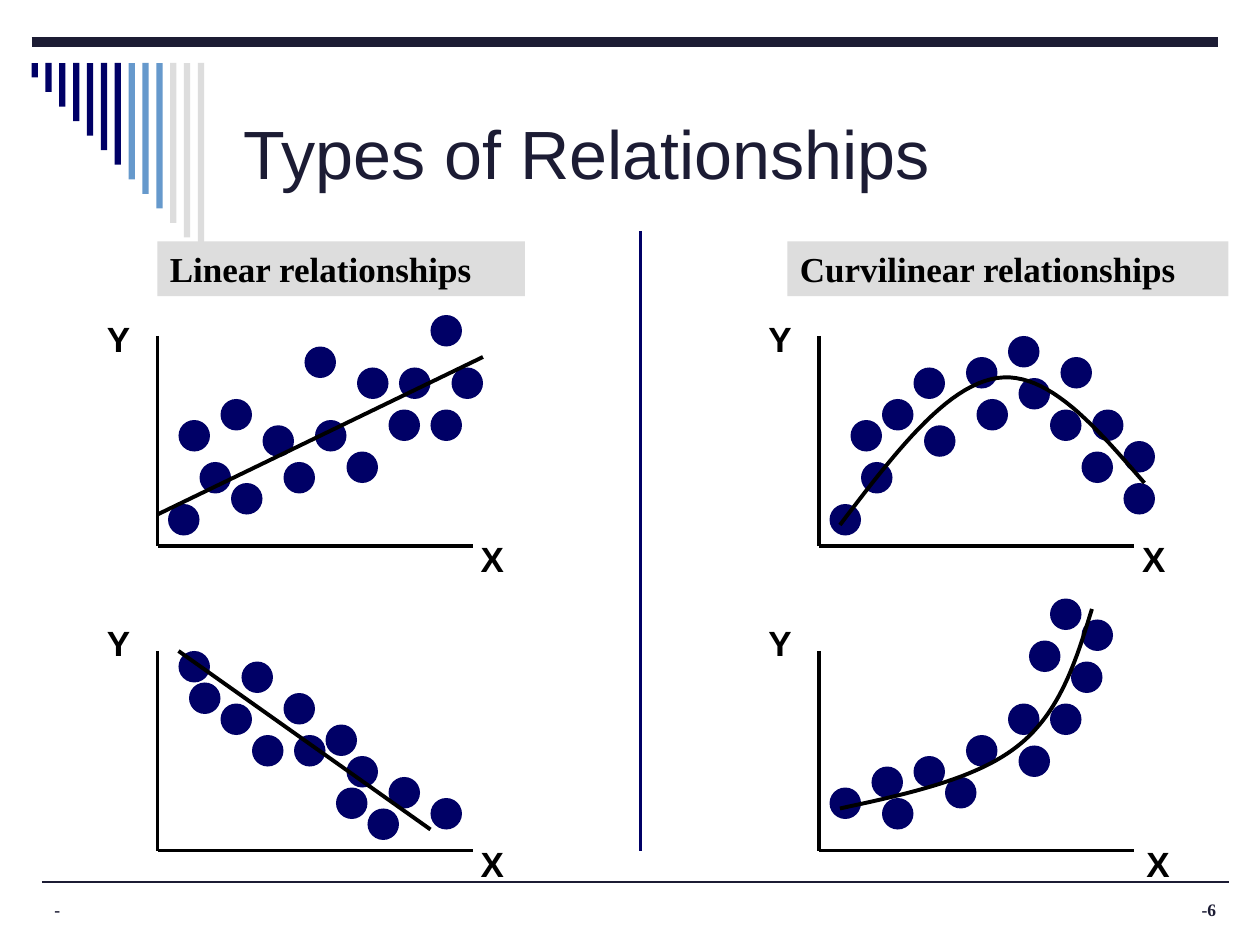
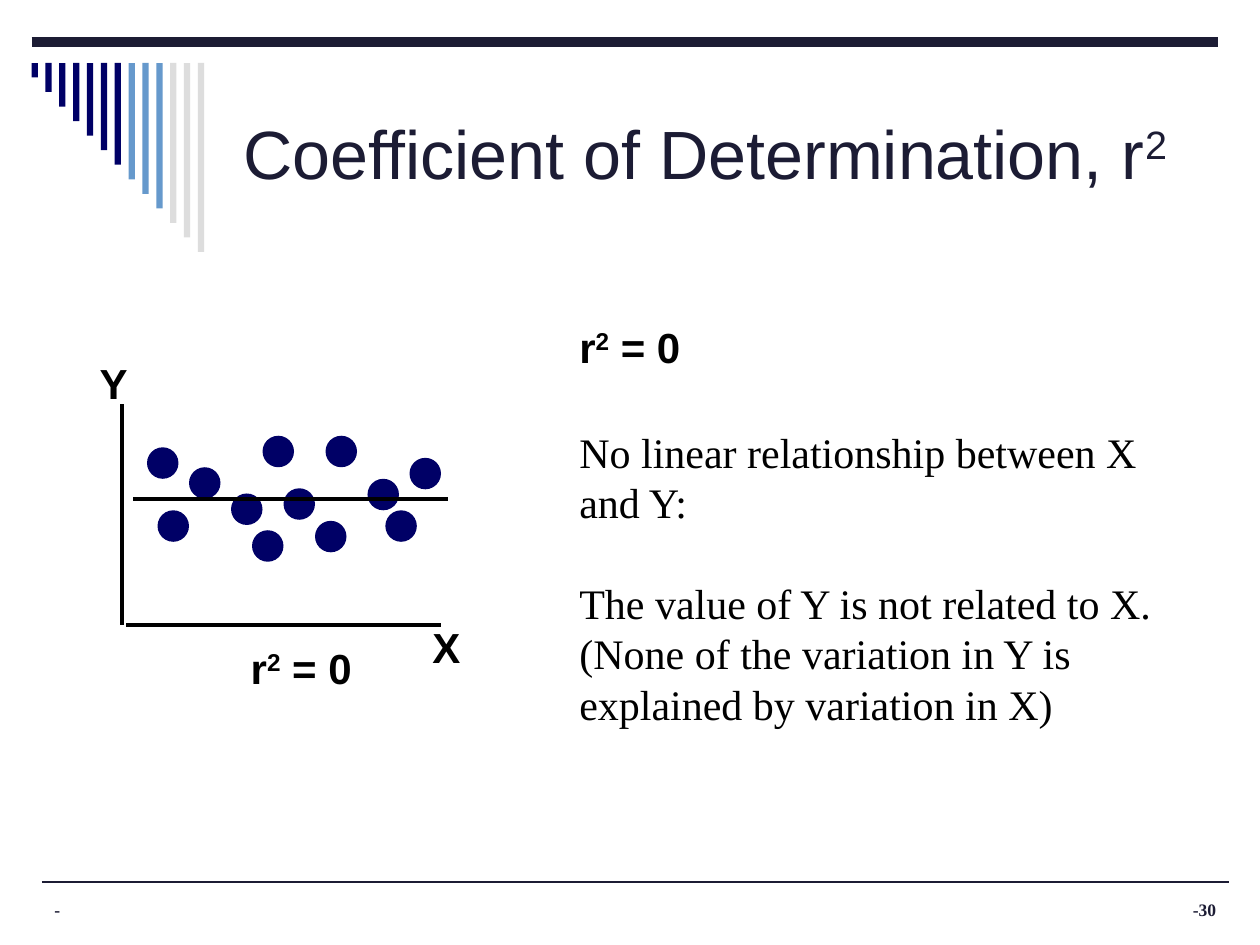
import dataclasses
from typing import Any

import lxml.etree
import pptx
import pptx.dml.color
import pptx.enum.shapes
import pptx.enum.text
import pptx.oxml.ns
import pptx.util

PX = 7620
INK, NAVY, BLUE, GREY, BLACK = "1C1C34", "000066", "6699CC", "DDDDDD", "000000"
SANS, SERIF = "Arial", "Times New Roman"
STRIPES = [NAVY] * 7 + [BLUE] * 3 + [GREY] * 3
DOT = 30
CURVE_STEPS = 24

Point = tuple[int, int]
SHAPE = pptx.enum.shapes.MSO_SHAPE
ALIGN = pptx.enum.text.PP_ALIGN
ANCHOR = pptx.enum.text.MSO_ANCHOR


@dataclasses.dataclass
class Plot:
    y_axis: tuple[Point, Point]
    x_axis: tuple[Point, Point]
    y_label: Point
    x_label: Point
    dots: list[Point]
    trend: list[Point]
    label_size: int = 20
    trend_width: float = 2.25


@dataclasses.dataclass
class Heading:
    text: str
    left: int
    width: int


RISING = Plot(
    ((150, 320), (150, 520)), ((150, 520), (450, 520)), (90, 296), (446, 506),
    [(160, 480), (190, 440), (410, 300), (430, 350), (220, 460), (380, 350),
     (330, 430), (340, 350), (290, 330), (170, 400), (210, 380), (250, 405),
     (370, 390), (300, 400), (270, 440), (410, 390)],
    [(150, 490), (460, 340)])

FALLING = Plot(
    ((150, 620), (150, 810)), ((150, 810), (450, 810)), (90, 586), (446, 796),
    [(350, 770), (180, 650), (410, 760), (230, 630), (330, 720), (370, 740),
     (270, 660), (170, 620), (210, 670), (240, 700), (320, 750), (310, 690),
     (280, 700)],
    [(170, 620), (410, 790)])

ARCHED = Plot(
    ((780, 320), (780, 520)), ((780, 520), (1080, 520)), (720, 296), (1076, 506),
    [(790, 480), (820, 440), (1070, 420), (1010, 340), (870, 350), (1070, 460),
     (1030, 430), (970, 360), (920, 340), (810, 400), (840, 380), (880, 405),
     (1000, 390), (930, 380), (960, 320), (1040, 390)],
    [(800, 500), (851, 433), (901, 367), (950, 360),
     (998, 353), (1044, 407), (1090, 460)])

STEEPENING = Plot(
    ((780, 620), (780, 810)), ((780, 810), (1080, 810)), (720, 586), (1080, 796),
    [(790, 750), (830, 730), (1030, 590), (1020, 630), (840, 760), (980, 610),
     (970, 710), (960, 670), (1000, 570), (870, 720), (1000, 670), (920, 700),
     (900, 740)],
    [(800, 770), (865, 756), (930, 742), (970, 710),
     (1010, 678), (1025, 629), (1040, 580)])

FLAT = Plot(
    ((116, 385), (116, 595)), ((120, 595), (420, 595)), (83, 335), (400, 586),
    [(150, 486), (390, 436), (350, 456), (300, 496), (310, 415), (250, 415),
     (140, 426), (180, 445), (220, 470), (270, 465), (240, 505), (367, 486)],
    [(127, 475), (427, 475)], label_size=24, trend_width=2)

HEADINGS = [Heading("Linear relationships", 150, 350),
            Heading("Curvilinear relationships", 750, 420)]


def px(value: float) -> int:
    return round(value * PX)


def rgb(value: str) -> pptx.dml.color.RGBColor:
    return pptx.dml.color.RGBColor.from_string(value)


def write(sp: Any, text: str, *, size: float, font: str = SANS, color: str = BLACK,
          bold: bool = False, align: Any = ALIGN.LEFT, anchor: Any = ANCHOR.TOP,
          wrap: bool = True, leading: float | None = None, gap: float = 0) -> None:
    tf = sp.text_frame
    tf.word_wrap = wrap
    tf.vertical_anchor = anchor
    for i, line in enumerate(text.split("\n")):
        p = tf.add_paragraph() if i else tf.paragraphs[0]
        p.alignment = align
        if leading:
            p.line_spacing = pptx.util.Pt(leading)
        if i:
            p.space_before = pptx.util.Pt(gap)
        for j, part in enumerate(line.split("^")):
            r = p.add_run()
            r.text = part
            r.font.size = pptx.util.Pt(size)
            r.font.name = font
            r.font.bold = bold
            r.font.color.rgb = rgb(color)
            if j % 2:
                r._r.get_or_add_rPr().set("baseline", "30000")


def add_text(slide: Any, box: tuple[int, int, int, int], text: str, **style: Any) -> None:
    write(slide.shapes.add_textbox(*map(px, box)), text, **style)


def add_block(slide: Any, kind: Any, box: tuple[float, ...], color: str) -> Any:
    sp = slide.shapes.add_shape(kind, *map(px, box))
    sp.shadow.inherit = False
    sp.fill.solid()
    sp.fill.fore_color.rgb = rgb(color)
    sp.line.fill.background()
    return sp


def add_line(slide: Any, start: Point, end: Point, color: str, width: float) -> None:
    sp = slide.shapes.add_connector(
        pptx.enum.shapes.MSO_CONNECTOR.STRAIGHT, *map(px, start + end))
    sp.line.color.rgb = rgb(color)
    sp.line.width = pptx.util.Pt(width)
    lxml.etree.SubElement(sp._element.spPr, pptx.oxml.ns.qn("a:effectLst"))


def bezier(a: Point, b: Point, c: Point, d: Point, t: float) -> tuple[int, int]:
    u = 1 - t
    weights = (u ** 3, 3 * u * u * t, 3 * u * t * t, t ** 3)
    x, y = (px(sum(w * v for w, v in zip(weights, axis))) for axis in zip(a, b, c, d))
    return x, y


def add_curve(slide: Any, knots: list[Point], width: float) -> None:
    points = [bezier(*knots[i:i + 4], step / CURVE_STEPS)
              for i in range(0, len(knots) - 1, 3)
              for step in range(1, CURVE_STEPS + 1)]
    builder = slide.shapes.build_freeform(*map(px, knots[0]))
    builder.add_line_segments(points, close=False)
    sp = builder.convert_to_shape()
    sp.shadow.inherit = False
    sp.fill.background()
    sp.line.color.rgb = rgb(BLACK)
    sp.line.width = pptx.util.Pt(width)


def add_plot(slide: Any, plot: Plot) -> None:
    for axis in (plot.y_axis, plot.x_axis):
        add_line(slide, *axis, BLACK, 2)
    for dot in plot.dots:
        add_block(slide, SHAPE.OVAL, (*dot, DOT, DOT), NAVY)
    for label, at in (("Y", plot.y_label), ("X", plot.x_label)):
        add_text(slide, (*at, 48, 52), label, size=plot.label_size, bold=True, wrap=False)
    if len(plot.trend) == 2:
        add_line(slide, *plot.trend, BLACK, plot.trend_width)
    else:
        add_curve(slide, plot.trend, plot.trend_width)


def add_slide(prs: Any, title: str, number: str) -> Any:
    slide = prs.slides.add_slide(prs.slide_layouts[6])
    add_line(slide, (40, 840), (1170, 840), INK, 1)
    add_line(slide, (30, 40), (1160, 40), INK, 6)
    for i, color in enumerate(STRIPES):
        box = (30 + 13.2 * i, 60, 6, 180 * (i + 1) / len(STRIPES))
        add_block(slide, SHAPE.RECTANGLE, box, color)
    footer = dict(size=10, font=SERIF, color=INK, bold=True)
    add_text(slide, (40, 850, 750, 30), "-", **footer)
    add_text(slide, (890, 850, 280, 30), number, align=ALIGN.RIGHT, **footer)
    add_text(slide, (220, 60, 920, 170), title, size=39, color=INK, anchor=ANCHOR.MIDDLE)
    return slide


def add_relationships(prs: Any) -> None:
    slide = add_slide(prs, "Types of Relationships", "-6")
    for heading in HEADINGS:
        sp = add_block(slide, SHAPE.RECTANGLE, (heading.left, 230, heading.width, 52), GREY)
        write(sp, heading.text, size=20, font=SERIF, bold=True)
    add_line(slide, (610, 220), (610, 810), NAVY, 2.25)
    for plot in (FALLING, RISING, STEEPENING, ARCHED):
        add_plot(slide, plot)


def add_determination(prs: Any) -> None:
    slide = add_slide(prs, "Coefficient of Determination, r^2", "-30")
    add_plot(slide, FLAT)
    for at in ((540, 300), (227, 606)):
        add_text(slide, (*at, 122, 60), "r^2^ = 0", size=24, bold=True, wrap=False)
    add_text(slide, (540, 400, 590, 300),
             "No linear relationship between X and Y:\n"
             "The value of Y is not related to X. (None of the variation in Y is "
             "explained by variation in X)",
             size=24, font=SERIF, leading=28.8, gap=28.8)


def main() -> None:
    prs = pptx.Presentation()
    prs.slide_width, prs.slide_height = px(1200), px(900)
    add_relationships(prs)
    add_determination(prs)
    prs.save("out.pptx")


if __name__ == "__main__":
    main()
